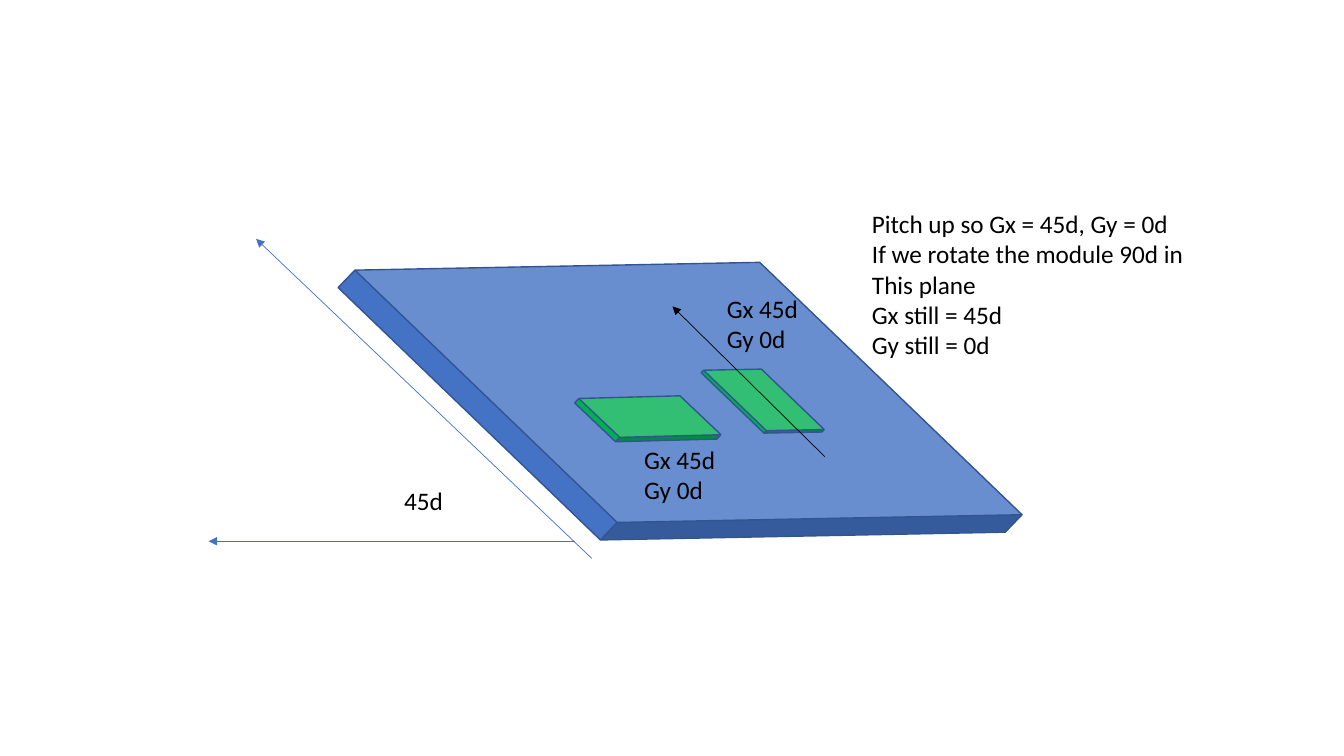
from pptx import Presentation
from pptx.dml.color import RGBColor
from pptx.enum.shapes import MSO_CONNECTOR as Connector, MSO_SHAPE as Shape
from pptx.enum.text import MSO_AUTO_SIZE as AutoSize
from pptx.oxml.ns import qn
from pptx.util import Inches, Pt
from lxml.etree import SubElement

BLUE = RGBColor(0x44, 0x72, 0xC4)
DARK_BLUE = RGBColor(0x32, 0x54, 0x91)
GREEN = RGBColor(0x00, 0xB0, 0x50)
BLACK = RGBColor(0, 0, 0)

# Content, in inches: the tilted plane and the two modules lying on it
DEPTH = 0.922
slabs = [  # left, top, width, height, rotation, fill
    (3.52, 2.44, 6.45, 3.08, 43.9, BLUE),
    (6.93, 3.76, 1.27, 0.44, 43.9, GREEN),
    (5.79, 3.77, 1.27, 0.77, 43.5, GREEN),
]
arrows = [  # start, tip, colour
    ((8.18, 4.53), (6.67, 3.04), BLACK),  # module heading
    ((5.70, 5.37), (2.07, 5.37), BLUE),   # horizontal
    ((5.87, 5.54), (2.54, 2.37), BLUE),   # pitch
]
module_reading = ["Gx 45d", "Gy 0d"]
explanation = [
    "Pitch up so Gx = 45d, Gy = 0d",
    "If we rotate the module 90d in ",
    "This plane",
    "Gx still = 45d",
    "Gy still = 0d",
]
labels = [  # left, top, width, lines
    (3.91, 4.77, 0.59, ["45d"]),
    (7.11, 2.86, 0.92, module_reading),
    (6.29, 4.36, 0.92, module_reading),
    (8.55, 2.02, 3.39, explanation),
]
LINE_HEIGHT, PADDING = 0.3, 0.1

deck = Presentation()
deck.slide_width, deck.slide_height = Inches(13.33), Inches(7.5)
slide = deck.slides.add_slide(deck.slide_layouts[6])

# Plane and modules
for *box, angle, colour in slabs:
    slab = slide.shapes.add_shape(Shape.CUBE, *map(Inches, box))
    slab.adjustments[0] = DEPTH
    slab.rotation = angle
    slab.shadow.inherit = False
    slab.fill.solid()
    slab.fill.fore_color.rgb = colour
    slab.line.color.rgb = DARK_BLUE
    slab.line.width = Pt(1)

# Direction arrows
for start, tip, colour in arrows:
    arrow = slide.shapes.add_connector(Connector.STRAIGHT, *map(Inches, start + tip))
    arrow.line.color.rgb = colour
    arrow.line.width = Pt(0.5)
    SubElement(arrow.line._get_or_add_ln(), qn("a:tailEnd"), type="triangle")
    SubElement(arrow._element.spPr, qn("a:effectLst"))

# Labels
for left, top, width, lines in labels:
    height = LINE_HEIGHT * len(lines) + PADDING
    label = slide.shapes.add_textbox(*map(Inches, (left, top, width, height)))
    frame = label.text_frame
    frame.word_wrap = False
    frame.auto_size = AutoSize.SHAPE_TO_FIT_TEXT
    frame.text = "\n".join(lines)
    for paragraph in frame.paragraphs:
        paragraph.font.name = "Calibri"
        paragraph.font.size = Pt(18)
        paragraph.font.color.rgb = BLACK

deck.save("out.pptx")
